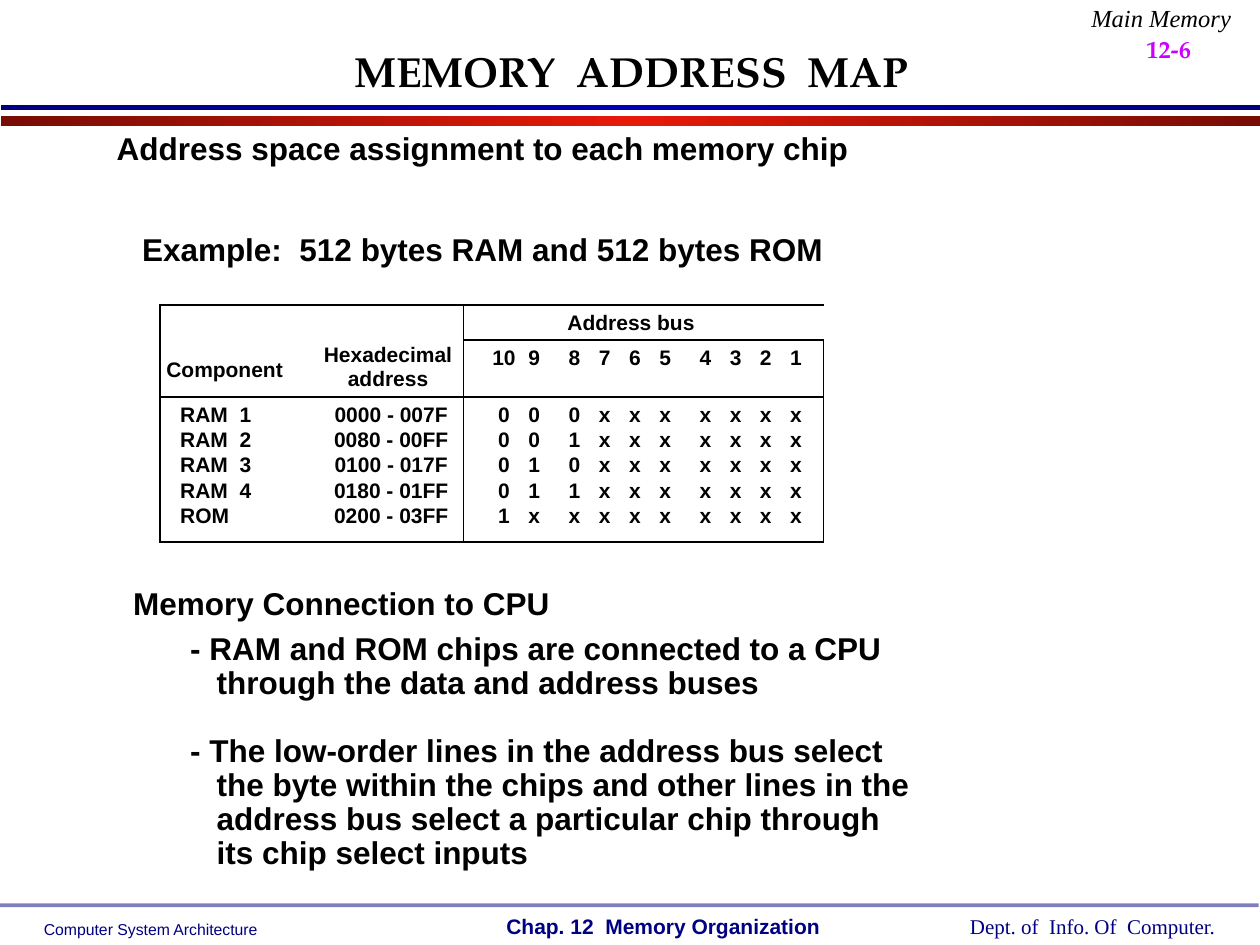
from pptx import Presentation
from pptx import util as u
from pptx.dml.color import RGBColor
from pptx.enum import shapes, text
from pptx.oxml.ns import qn
from lxml import etree

BLACK = RGBColor(0, 0, 0)
NAVY = RGBColor(0x00, 0x00, 0x82)
PINK = RGBColor(0xCC, 0x00, 0xFF)
DEEP = RGBColor(0x00, 0x00, 0x7F)
BLUE = RGBColor(0x00, 0x00, 0xB6)
WINE = RGBColor(0x77, 0x0D, 0x05)
RED = RGBColor(0xE7, 0x19, 0x09)
SANS, SERIF, BOOK = "Arial", "Times New Roman", "TeX Gyre Pagella"
LEFT, MID, RIGHT = text.PP_ALIGN.LEFT, text.PP_ALIGN.CENTER, text.PP_ALIGN.RIGHT

BANDS = [((0.01, 0.92, 9.99, 0.08), WINE, RED), ((0.01, 0.83, 9.99, 0.04), DEEP, BLUE)]
FOOTER = [
    ("Computer System Architecture", (0.25, 7.25, 1.9, 0.25), SANS, 9, False),
    ("Chap. 12  Memory Organization", (3.92, 7.2, 2.69, 0.3), SANS, 12, True),
    ("Dept. of  Info. Of  Computer.", (7.6, 7.2, 2.16, 0.3), SERIF, 12, False),
]
HEADS = ["Address space assignment to each memory chip",
         "Example:  512 bytes RAM and 512 bytes ROM"]
POINTS = [
    "- RAM and ROM chips are connected to a CPU through the data and address buses",
    "- The low-order lines in the address bus select the byte within the chips and "
    "other lines in the address bus select a particular chip through its chip select inputs",
]
BITS = [str(n) for n in range(10, 0, -1)]
ROWS = [
    ("RAM  1", "0000 - 007F", "000xxxxxxx"),
    ("RAM  2", "0080 - 00FF", "001xxxxxxx"),
    ("RAM  3", "0100 - 017F", "010xxxxxxx"),
    ("RAM  4", "0180 - 01FF", "011xxxxxxx"),
    ("ROM", "0200 - 03FF", "1xxxxxxxxx"),
]
HIGH = [0.28, 0.28, 0.24, 0.2, 0.2, 0.2, 0.3]
STEP, GAPS, END = 0.24, {0: 0.2, 2: 0.08, 6: 0.08}, 0.1

deck = Presentation()
deck.slide_width, deck.slide_height = u.Inches(10), u.Inches(7.5)
page = deck.slides.add_slide(deck.slide_layouts[6])


def place(box):
    return [u.Inches(v) for v in box]


def style(para, face, size, color=BLACK, bold=True, align=LEFT):
    font = para.font
    font.name, font.size, font.bold = face, u.Pt(size), bold
    font.color.rgb = color
    para.alignment = align


def write(lines, box, face, size, color=BLACK, bold=True, align=LEFT,
          inset=(0.1, 0.05), wrap=False, ratio=1.0, gap=0):
    frame = page.shapes.add_textbox(*place(box)).text_frame
    frame.word_wrap = wrap
    frame.margin_left = frame.margin_right = u.Inches(inset[0])
    frame.margin_top = frame.margin_bottom = u.Inches(inset[1])
    frame.text = "\n".join(lines)
    for i, para in enumerate(frame.paragraphs):
        style(para, face, size, color, bold, align)
        para.line_spacing = ratio
        if i:
            para.space_before = u.Pt(gap)
    return frame


def bar(box):
    shape = page.shapes.add_shape(shapes.MSO_SHAPE.RECTANGLE, *place(box))
    shape.shadow.inherit = False
    shape.line.fill.background()
    return shape.fill


def edge(cell, side, shown):
    line = etree.SubElement(cell._tc.get_or_add_tcPr(), qn("a:ln" + side), w="12700")
    if shown:
        fill = etree.SubElement(line, qn("a:solidFill"))
        etree.SubElement(fill, qn("a:srgbClr"), val=str(BLACK))
    else:
        etree.SubElement(line, qn("a:noFill"))


def fill_cell(cell, words, align=MID, left=0, right=0, top=0, low=0,
              anchor=text.MSO_ANCHOR.TOP):
    cell.text = words
    cell.margin_left, cell.margin_right = u.Inches(left), u.Inches(right)
    cell.margin_top, cell.margin_bottom = u.Inches(top), u.Inches(low)
    cell.vertical_anchor = anchor
    for para in cell.text_frame.paragraphs:
        style(para, SANS, 12, align=align)


def draw_table():
    wide = [1.21, 1.2] + [STEP + GAPS.get(i, 0) for i in range(10)]
    wide[-1] += END
    last, tail = len(HIGH) - 1, len(wide) - 1
    grid = page.shapes.add_table(len(HIGH), len(wide),
                                 *place((1.27, 2.42, sum(wide), sum(HIGH)))).table
    grid.first_row = grid.horz_banding = False
    for col, size in zip(grid.columns, wide):
        col.width = u.Inches(size)
    for row, size in zip(grid.rows, HIGH):
        row.height = u.Inches(size)
    for r in range(last + 1):
        for c in range(tail + 1):
            cell = grid.cell(r, c)
            fill_cell(cell, "")
            edge(cell, "L", c in (0, 2))
            edge(cell, "R", c in (1, tail))
            edge(cell, "T", r in (0, 2) or (r == 1 and c > 1))
            edge(cell, "B", r in (1, last) or (r == 0 and c > 1))
            cell.fill.background()
    for c in (0, 1):
        grid.cell(0, c).merge(grid.cell(1, c))
    grid.cell(0, 2).merge(grid.cell(0, tail))
    base = text.MSO_ANCHOR.BOTTOM
    fill_cell(grid.cell(0, 0), "Component", LEFT, left=0.05, low=0.12, anchor=base)
    fill_cell(grid.cell(0, 1), "Hexadecimal\naddress", low=0.05, anchor=base)
    fill_cell(grid.cell(0, 2), "Address bus", right=0.2, top=0.05)
    for r, (name, span, bits) in enumerate([("", "", BITS)] + ROWS, 1):
        top = 0.05 if r < 3 else 0
        if r > 1:
            fill_cell(grid.cell(r, 0), name, LEFT, left=0.16, top=top)
            fill_cell(grid.cell(r, 1), span, left=0.05, top=top)
        for i, bit in enumerate(bits):
            fill_cell(grid.cell(r, i + 2), bit, left=GAPS.get(i, 0),
                      right=END if i == 9 else 0, top=top)


for box, outer, inner in BANDS:
    fill = bar(box)
    fill.gradient()
    fill.gradient_angle = 0
    stops = fill._fill._gradFill.find(qn("a:gsLst"))
    for stop in list(stops):
        stops.remove(stop)
    for pos, color in ((0, outer), (50000, inner), (100000, outer)):
        stop = etree.SubElement(stops, qn("a:gs"), pos=str(pos))
        etree.SubElement(stop, qn("a:srgbClr"), val=str(color))

rule = bar((0, 7.17, 9.99, 0.03))
rule.solid()
rule.fore_color.rgb = NAVY
tint = rule._xPr.find(qn("a:solidFill"))[0]
etree.SubElement(tint, qn("a:alpha"), val="50000")

for words, box, face, size, bold in FOOTER:
    write([words], box, face, size, NAVY, bold)

number = write(["12-6"], (9, 0, 1.08, 0.37), BOOK, 24, PINK, wrap=True).paragraphs[0]
number.space_before = u.Pt(12)
number.runs[0].font._element.set("baseline", "-25000")
write(["Main Memory"], (8.43, 0, 1.44, 0.31), SERIF, 14, bold=False,
      align=RIGHT, ratio=0.9).paragraphs[0].font.italic = True
title = write(["MEMORY  ADDRESS  MAP"], (0.86, 0.3, 8.3, 0.52), BOOK, 24, align=MID, wrap=True)
title.vertical_anchor = text.MSO_ANCHOR.MIDDLE

write(HEADS, (0.8, 1.01, 6.06, 1.19), SANS, 18, align=MID, ratio=0.9, gap=38)
draw_table()
slim = (0.07, 0.03)
write(["Memory Connection to CPU"], (0.97, 4.65, 3.48, 0.31), SANS, 18,
      align=MID, inset=slim, ratio=0.85)
notes = write(POINTS, (1.44, 5, 5.9, 1.96), SANS, 18, inset=slim, wrap=True, ratio=0.9, gap=19)
for para in notes.paragraphs:
    props = para._p.get_or_add_pPr()
    props.set("marL", str(u.Inches(0.21)))
    props.set("indent", str(-u.Inches(0.21)))

deck.save("out.pptx")
